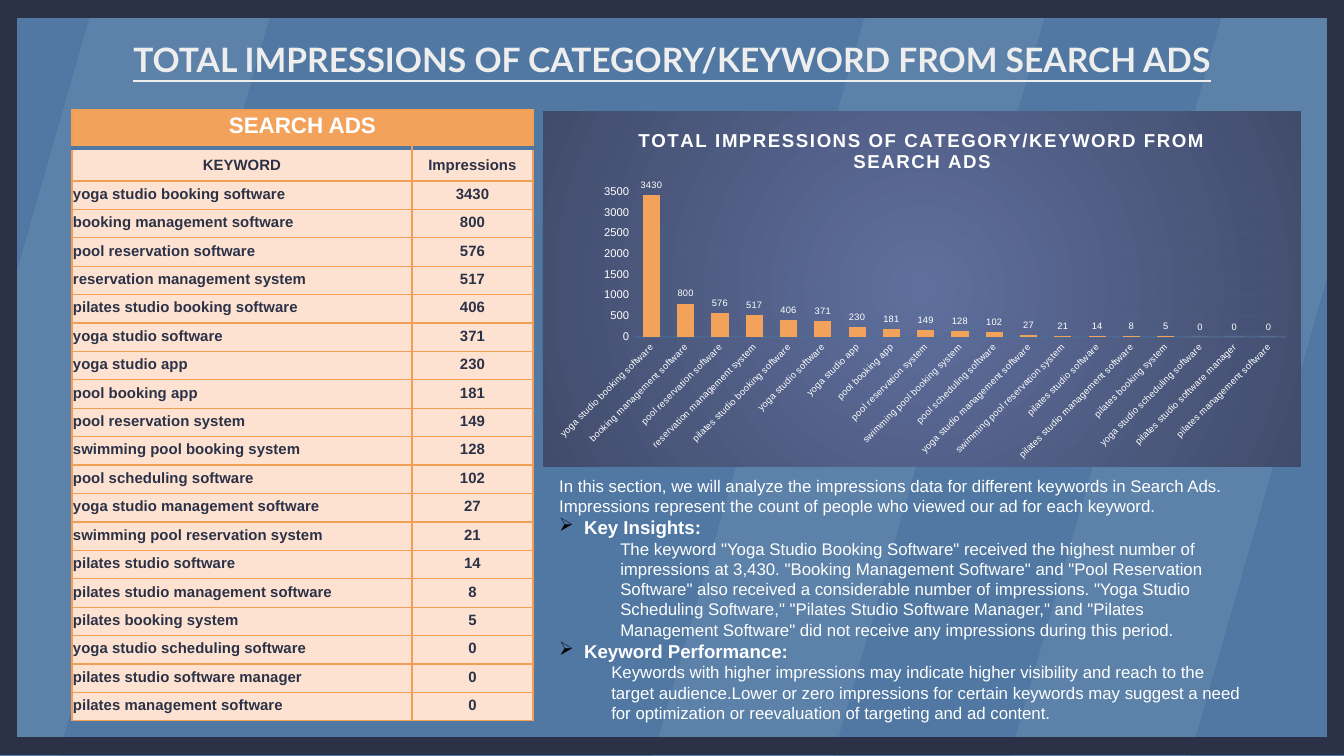
"""Build a slide on ad impressions per keyword: table, column chart and notes."""
import pptx
import pptx.chart.data
import pptx.dml.color
import pptx.enum.chart
import pptx.enum.shapes
import pptx.enum.text
import pptx.oxml
import pptx.oxml.ns
import pptx.util
from lxml import etree

SCALE = 914400 / 134.4
INK = {"back": "5078A3", "frame": "2B3247", "white": "FFFFFF", "title": "EEEEEE",
       "orange": "F3A25C", "edge": "F19E56", "peach": "FEE2D1", "axis": "4C729B",
       "glow": "5F6F9D", "dusk": "414C6C", "black": "000000"}
ALIGN = pptx.enum.text.PP_ALIGN
ANCHOR = pptx.enum.text.MSO_ANCHOR
SHAPE = pptx.enum.shapes.MSO_SHAPE
CHART = pptx.enum.chart
QN = pptx.oxml.ns.qn

DATA = [
    ("yoga studio booking software", 3430), ("booking management software", 800),
    ("pool reservation software", 576), ("reservation management system", 517),
    ("pilates studio booking software", 406), ("yoga studio software", 371),
    ("yoga studio app", 230), ("pool booking app", 181),
    ("pool reservation system", 149), ("swimming pool booking system", 128),
    ("pool scheduling software", 102), ("yoga studio management software", 27),
    ("swimming pool reservation system", 21), ("pilates studio software", 14),
    ("pilates studio management software", 8), ("pilates booking system", 5),
    ("yoga studio scheduling software", 0), ("pilates studio software manager", 0),
    ("pilates management software", 0)]

NOTES = [
    ("", 0, ["In this section, we will analyze the impressions data for different keywords in Search Ads.",
             "Impressions represent the count of people who viewed our ad for each keyword."]),
    ("Key Insights:", 61, [
        'The keyword "Yoga Studio Booking Software" received the highest number of',
        'impressions at 3,430. "Booking Management Software" and "Pool Reservation',
        'Software" also received a considerable number of impressions. "Yoga Studio',
        'Scheduling Software," "Pilates Studio Software Manager," and "Pilates',
        'Management Software" did not receive any impressions during this period.']),
    ("Keyword Performance:", 52, [
        "Keywords with higher impressions may indicate higher visibility and reach to the",
        "target audience.Lower or zero impressions for certain keywords may suggest a need",
        "for optimization or reevaluation of targeting and ad content."])]


def px(num):
    return pptx.util.Emu(round(num * SCALE))


def rgb(name):
    return pptx.dml.color.RGBColor.from_string(INK[name])


def node(text):
    return pptx.oxml.parse_xml(text.replace(
        ">", " %s>" % pptx.oxml.ns.nsdecls("a", "c"), 1))


def fade(fill, part):
    color = next(fill.iter(QN("a:srgbClr")))
    etree.SubElement(color, QN("a:alpha")).set("val", str(part * 1000))


class Deck:
    """Hold the style and the current slide."""

    def __init__(self, wide, high):
        self.show = pptx.Presentation()
        self.show.slide_width, self.show.slide_height = px(wide), px(high)
        self.slide = self.show.slides.add_slide(self.show.slide_layouts[6])
        self.slide.background.fill.solid()
        self.slide.background.fill.fore_color.rgb = rgb("back")

    def style(self, font, size, color, bold=False, face="Arial"):
        font.name, font.size, font.bold = face, pptx.util.Pt(size), bold
        font.color.rgb = rgb(color)

    def stripe(self, left):
        shape = self.slide.shapes.add_shape(
            SHAPE.PARALLELOGRAM, px(left), px(-19), px(409), px(800))
        shape.adjustments[0] = 0.56
        shape.shadow.inherit = False
        shape.fill.solid()
        shape.fill.fore_color.rgb = rgb("white")
        fade(shape._element.spPr, 8)
        shape.line.fill.background()

    def bar(self, *box):
        shape = self.slide.shapes.add_shape(SHAPE.RECTANGLE, *map(px, box))
        shape.shadow.inherit = False
        shape.fill.solid()
        shape.fill.fore_color.rgb = rgb("frame")
        shape.line.color.rgb = rgb("frame")
        shape.line.width = pptx.util.Pt(1.5)

    def title(self, text, *box):
        frame = self.slide.shapes.add_textbox(*map(px, box)).text_frame
        frame.word_wrap = True
        frame.margin_top = frame.margin_bottom = px(13)
        para = frame.paragraphs[0]
        para.text, para.alignment = text, ALIGN.CENTER
        self.style(para.font, 18, "title", True, "Lato")
        para.font.underline = True

    def cell(self, cell, text, size, color, fill, anchor, align, edges):
        cell.margin_left = cell.margin_right = cell.margin_top = px(1)
        cell.margin_bottom = px(7)
        cell.vertical_anchor = anchor
        para = cell.text_frame.paragraphs[0]
        para.text, para.alignment = text, align
        self.style(para.font, size, color, True)
        cell.fill.solid()
        cell.fill.fore_color.rgb = rgb(fill)
        props = cell._tc.get_or_add_tcPr()
        for spot, side in enumerate("LRTB"):
            tint, width = edges.get(side, ("edge", 9525))
            props.insert(spot, node(
                f'<a:ln{side} w="{width}"><a:solidFill><a:srgbClr val="{INK[tint]}"/>'
                f'</a:solidFill></a:ln{side}>'))

    def table(self, head, names, rows, box, cols, tops):
        grid = self.slide.shapes.add_table(len(rows) + 2, 2, *map(px, box)).table
        for col, wide in zip(grid.columns, cols):
            col.width = px(wide)
        rest = (box[3] - sum(tops)) / len(rows)
        for row, high in zip(grid.rows, tops + [rest] * len(rows)):
            row.height = px(high)
        rule = ("back", 25400)
        grid.cell(0, 0).merge(grid.cell(0, 1))
        for col, text in enumerate((head, "")):
            self.cell(grid.cell(0, col), text, 12, "white", "orange",
                      ANCHOR.MIDDLE, ALIGN.CENTER, {"B": rule})
        for row, pair in enumerate([names] + rows, 1):
            for col, text in enumerate(pair):
                left = row > 1 and col == 0
                self.cell(grid.cell(row, col), str(text), 8, "frame", "peach", ANCHOR.BOTTOM,
                          ALIGN.LEFT if left else ALIGN.CENTER, {"T": rule} if row == 1 else {})

    def chart(self, title, rows, *box):
        data = pptx.chart.data.CategoryChartData()
        data.categories = [name for name, _ in rows]
        data.add_series("Series 1", [num for _, num in rows])
        chart = self.slide.shapes.add_chart(
            CHART.XL_CHART_TYPE.COLUMN_CLUSTERED, *map(px, box), data).chart
        self.style(chart.font, 10, "frame")
        chart.has_legend = False
        chart.has_title = True
        para = chart.chart_title.text_frame.paragraphs[0]
        para.text = title
        self.style(para.font, 10, "white", True)
        para.runs[0]._r.get_or_add_rPr().set("spc", "100")
        chart.chart_title.include_in_layout = False
        self.axes(chart)
        plot = chart.plots[0]
        plot.gap_width, plot.overlap, plot.vary_by_categories = 100, -24, False
        fill = plot.series[0].format.fill
        fill.solid()
        fill.fore_color.rgb = rgb("orange")
        plot.has_data_labels = True
        tags = plot.data_labels
        tags.show_value = True
        tags.position = CHART.XL_LABEL_POSITION.OUTSIDE_END
        self.style(tags.font, 5, "white")
        stops = "".join(f'<a:gs pos="{pos}"><a:srgbClr val="{INK[name]}"/></a:gs>'
                        for pos, name in ((0, "glow"), (100000, "dusk")))
        chart._chartSpace.find(QN("c:chart")).addnext(node(
            f'<c:spPr><a:gradFill><a:gsLst>{stops}</a:gsLst><a:path path="circle">'
            '<a:fillToRect l="50000" t="50000" r="50000" b="50000"/></a:path>'
            '</a:gradFill><a:ln><a:noFill/></a:ln></c:spPr>'))

    def axes(self, chart):
        cat, val = chart.category_axis, chart.value_axis
        for axis, size in ((cat, 5), (val, 6)):
            axis.major_tick_mark = axis.minor_tick_mark = CHART.XL_TICK_MARK.NONE
            self.style(axis.tick_labels.font, size, "white")
        cat._element.find(QN("c:txPr")).find(QN("a:bodyPr")).set("rot", "-2700000")
        val.minimum_scale, val.maximum_scale, val.major_unit = 0, 3500, 500
        val.format.line.fill.background()
        val.has_major_gridlines = True
        for owner, width, part in ((cat, 1, 54), (val.major_gridlines, 0.75, 10)):
            line = owner.format.line
            line.color.rgb, line.width = rgb("axis"), pptx.util.Pt(width)
            fade(line._get_or_add_ln(), part)

    def notes(self, parts, *box):
        frame = self.slide.shapes.add_textbox(*map(px, box)).text_frame
        frame.word_wrap = True
        lines = [(text, bool(head) and text == head, inset)
                 for head, inset, body in parts for text in [head] * bool(head) + body]
        for spot, (text, top, inset) in enumerate(lines):
            para = frame.add_paragraph() if spot else frame.paragraphs[0]
            para.text = text
            self.style(para.font, 10 if top else 9, "white", top)
            props = para._p.get_or_add_pPr()
            props.set("marL", str(px(25 if top else inset)))
            if top:
                props.set("indent", str(px(-25)))
                for mark in (f'<a:buClr><a:srgbClr val="{INK["black"]}"/></a:buClr>',
                             '<a:buChar char="➢"></a:buChar>'):
                    props.insert_element_before(node(mark), "a:tabLst", "a:defRPr", "a:extLst")


def main():
    deck = Deck(1344, 756)
    for left in (646, 1003, -129):
        deck.stripe(left)
    for top in (1, 738):
        deck.bar(0, top, 1344, 16)
    for left in (0, 1328):
        deck.bar(left, 5, 16, 740)
    deck.chart("TOTAL IMPRESSIONS OF CATEGORY/KEYWORD FROM SEARCH ADS", DATA, 543, 111, 758, 356)
    deck.title("TOTAL IMPRESSIONS OF CATEGORY/KEYWORD FROM SEARCH ADS", 26, 26, 1292, 63)
    deck.table("SEARCH ADS", ("KEYWORD", "Impressions"), DATA,
               (72, 110, 461, 611), (340, 121), [38, 33])
    deck.notes(NOTES, 546, 469, 758, 262)
    deck.show.save("out.pptx")


if __name__ == "__main__":
    main()
